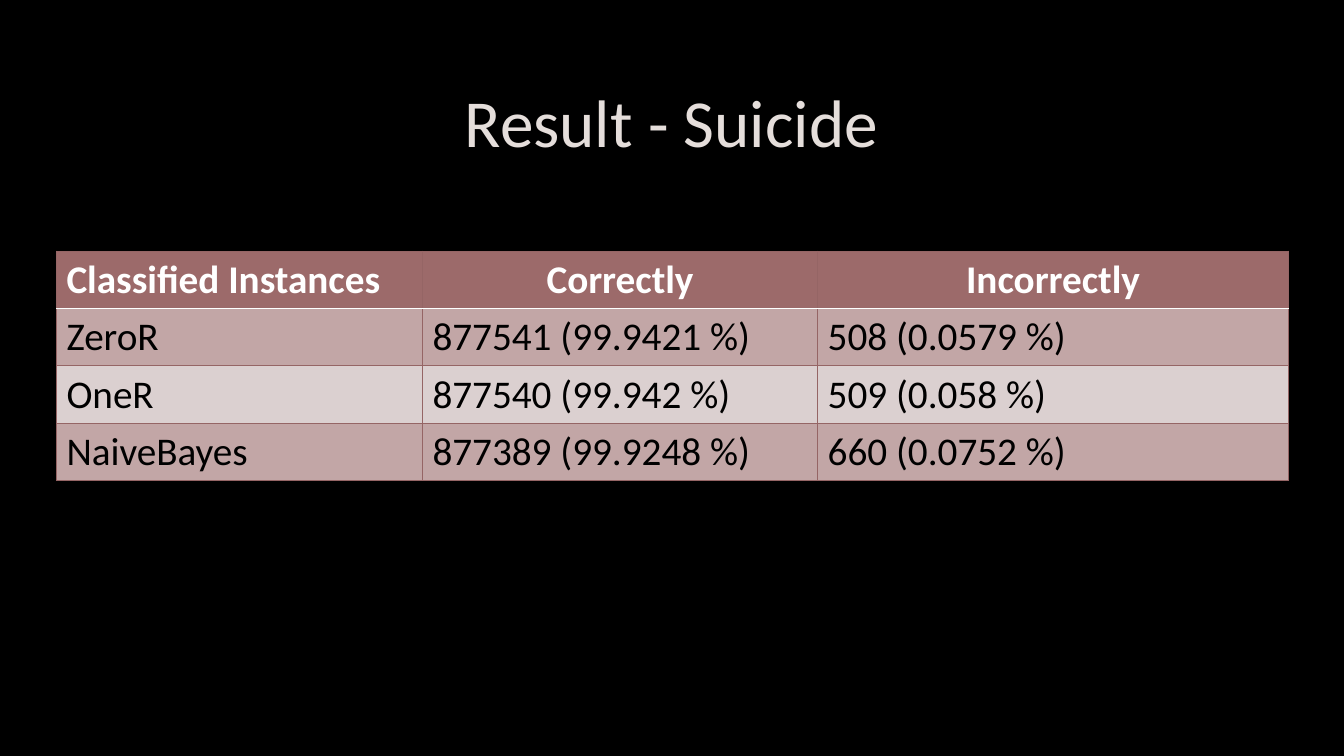
from dataclasses import dataclass

import pptx
import pptx.dml.color
import pptx.enum.text
import pptx.oxml
import pptx.oxml.ns
import pptx.util
from pptx.util import Inches

FONT = "Calibri"
COLORS = {
    "background": "000000",
    "title": "E5DEDB",
    "header": "9C6A6A",
    "header_text": "FFFFFF",
    "band_dark": "C2A6A6",
    "band_light": "DBD0D0",
    "body_text": "000000",
    "border": "956565",
    "header_rule": "FFFFFF",
}
LEFT = pptx.enum.text.PP_ALIGN.LEFT
CENTER = pptx.enum.text.PP_ALIGN.CENTER


@dataclass
class RowStyle:
    fill: str
    text: str
    bold: bool
    top: tuple[str, float]
    bottom: tuple[str, float]


THIN = ("border", 0.75)
RULE = ("header_rule", 1.25)
HEADER = RowStyle("header", "header_text", True, THIN, RULE)
FIRST = RowStyle("band_dark", "body_text", False, RULE, THIN)
LIGHT = RowStyle("band_light", "body_text", False, THIN, THIN)
DARK = RowStyle("band_dark", "body_text", False, THIN, THIN)

RESULTS = [
    (HEADER, ("Classified Instances", "Correctly", "Incorrectly")),
    (FIRST, ("ZeroR", "877541 (99.9421 %)", "508 (0.0579 %)")),
    (LIGHT, ("OneR", "877540 (99.942 %)", "509 (0.058 %)")),
    (DARK, ("NaiveBayes", "877389 (99.9248 %)", "660 (0.0752 %)")),
]
COLUMN_WIDTHS = (3.63, 3.92, 4.67)
ROW_HEIGHT = 0.57


def color(name: str) -> pptx.dml.color.RGBColor:
    return pptx.dml.color.RGBColor.from_string(COLORS[name])


def write_text(text_frame, text: str, size: float, color_name: str, align, bold: bool = False) -> None:
    text_frame.text = text
    paragraph = text_frame.paragraphs[0]
    paragraph.alignment = align
    font = paragraph.runs[0].font
    font.name = FONT
    font.size = pptx.util.Pt(size)
    font.bold = bold
    font.color.rgb = color(color_name)


def set_borders(cell, style: RowStyle) -> None:
    properties = cell._tc.get_or_add_tcPr()
    edges = (("lnL", THIN), ("lnR", THIN), ("lnT", style.top), ("lnB", style.bottom))
    # Border lines come before the fill in the cell properties
    for position, (tag, (color_name, width)) in enumerate(edges):
        line = pptx.oxml.parse_xml(
            f'<a:{tag} {pptx.oxml.ns.nsdecls("a")} w="{int(pptx.util.Pt(width))}">'
            f'<a:solidFill><a:srgbClr val="{COLORS[color_name]}"/></a:solidFill></a:{tag}>'
        )
        properties.insert(position, line)


def add_title(slide, text: str) -> None:
    title = slide.shapes.add_textbox(Inches(1), Inches(0.67), Inches(11.32), Inches(1.06))
    title.text_frame.word_wrap = True
    title.text_frame.vertical_anchor = pptx.enum.text.MSO_ANCHOR.MIDDLE
    write_text(title.text_frame, text, 48, "title", CENTER)


def add_results_table(slide) -> None:
    frame = slide.shapes.add_table(
        len(RESULTS), len(COLUMN_WIDTHS), Inches(0.56), Inches(2.49),
        Inches(sum(COLUMN_WIDTHS)), Inches(ROW_HEIGHT * len(RESULTS)),
    )
    table = frame.table
    for column, width in zip(table.columns, COLUMN_WIDTHS):
        column.width = Inches(width)
    for row, (style, texts) in zip(table.rows, RESULTS):
        row.height = Inches(ROW_HEIGHT)
        for index, (cell, text) in enumerate(zip(row.cells, texts)):
            align = CENTER if style is HEADER and index > 0 else LEFT
            cell.fill.solid()
            cell.fill.fore_color.rgb = color(style.fill)
            write_text(cell.text_frame, text, 28, style.text, align, style.bold)
            set_borders(cell, style)


def main() -> None:
    presentation = pptx.Presentation()
    presentation.slide_width = Inches(13.33)
    presentation.slide_height = Inches(7.5)
    slide = presentation.slides.add_slide(presentation.slide_layouts[6])

    # Background
    slide.background.fill.solid()
    slide.background.fill.fore_color.rgb = color("background")

    # Title and classifier results
    add_title(slide, "Result - Suicide")
    add_results_table(slide)
    presentation.save("out.pptx")


if __name__ == "__main__":
    main()
